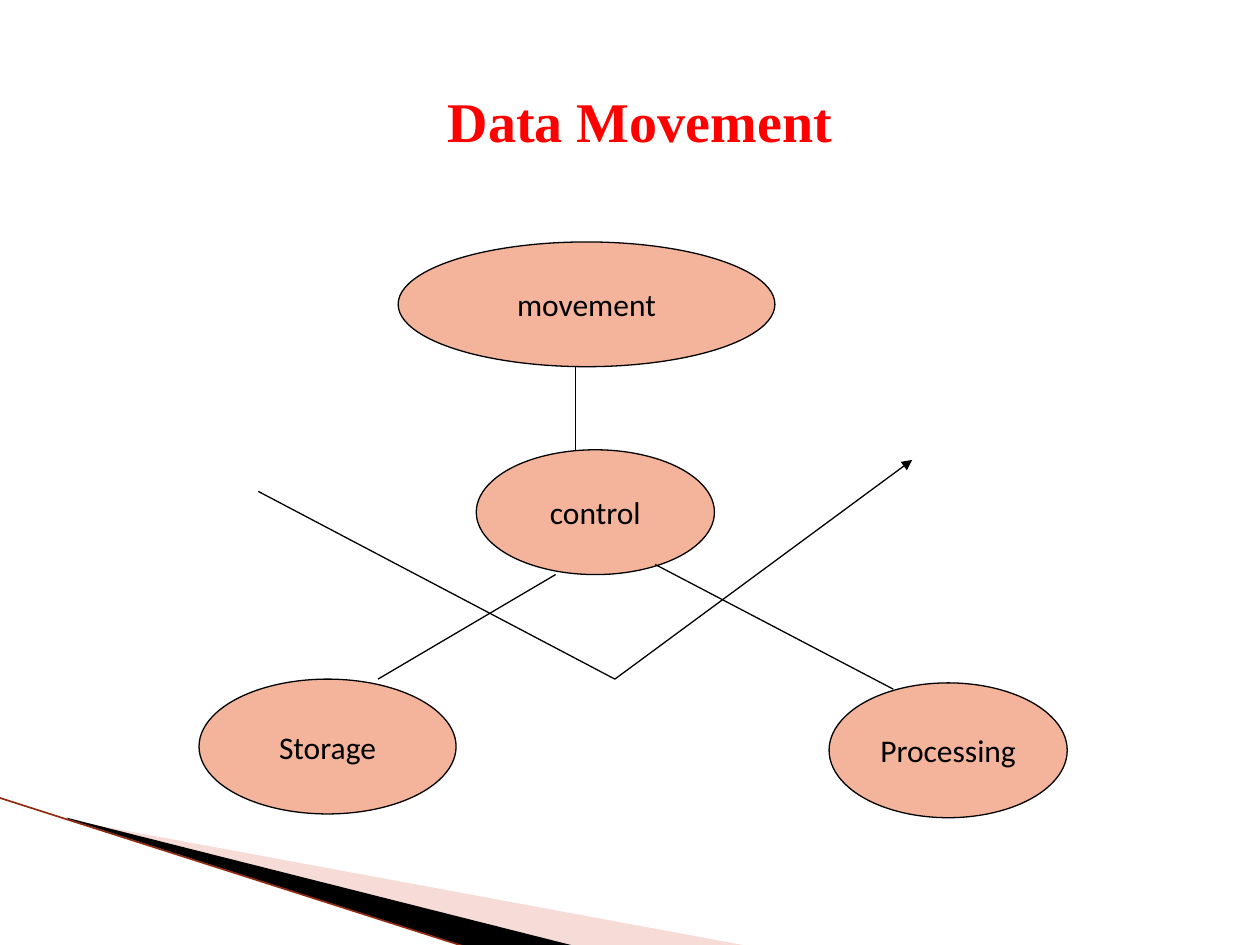
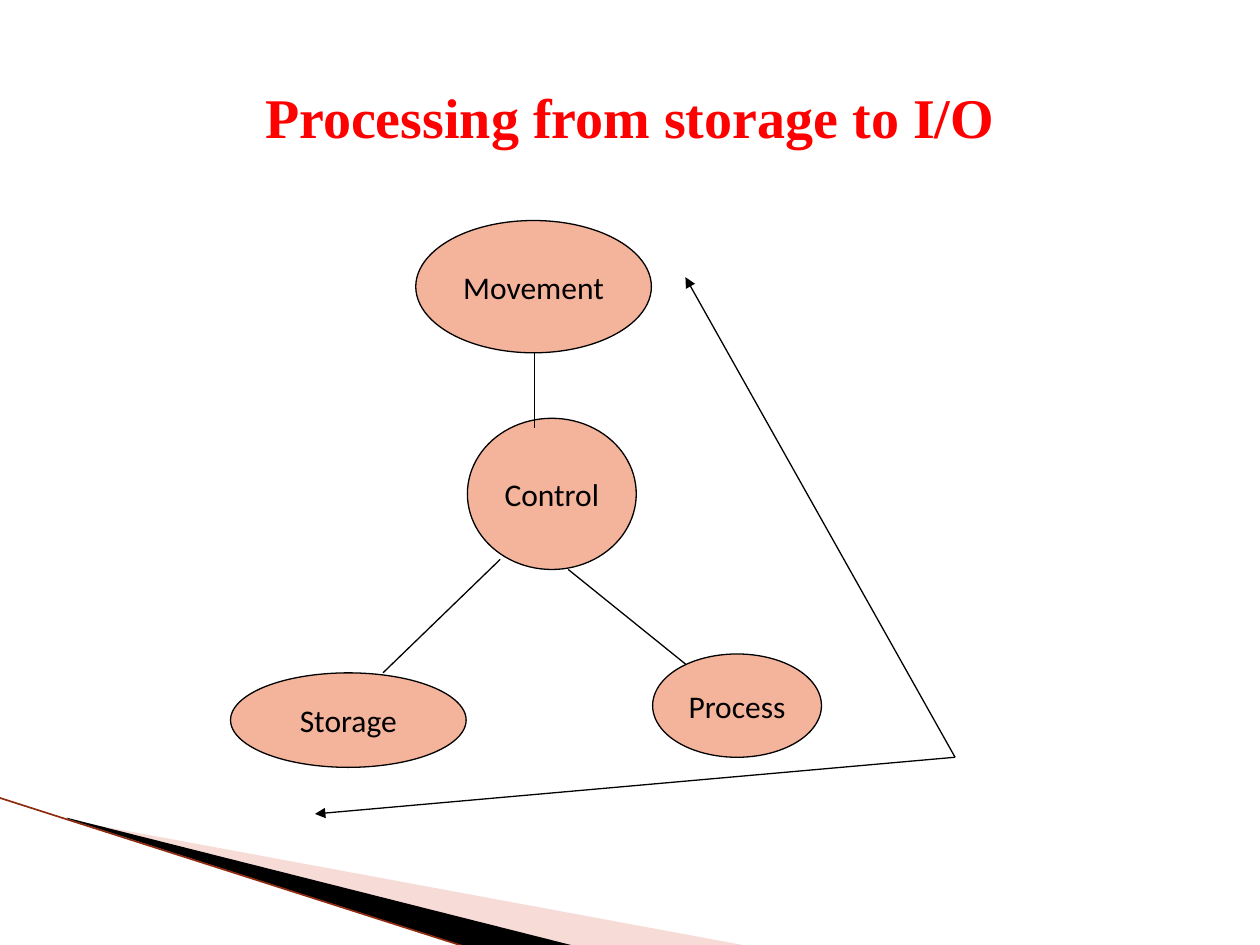
from dataclasses import dataclass

from lxml import etree
from pptx import Presentation
from pptx import slide as sl
from pptx import util as u
from pptx.dml import color as dml
from pptx.enum import shapes as es
from pptx.enum import text as et
from pptx.oxml import ns

# Grid: 100 columns by 75 rows on a 10 by 7.5 inch slide
WIDE, HIGH = u.Inches(10), u.Inches(7.5)
COLS, ROWS = 100, 75

# Shared colours and fonts
BLACK, RED, PEACH = "000000", "FF0000", "F4B39B"
PINK, RUST = "E9A59D", "8F2B10"
SERIF, SANS = "Times New Roman", "Calibri"
THIN = 0.75

Point = tuple[float, float]


@dataclass
class Oval:
    text: str
    x: float
    y: float
    w: float
    h: float


@dataclass
class Line:
    start: Point
    end: Point
    arrow: bool = False
    color: str = BLACK
    weight: float = THIN


@dataclass
class Wedge:
    points: list[Point]
    color: str
    alpha: int = 100


@dataclass
class Page:
    title: str
    left: float
    top: float
    ovals: list[Oval]
    lines: list[Line]


# Corner band on every slide
WEDGES = [
    Wedge([(5.5, 65.1), (59.5, 75.1), (45.6, 75.1), (5.5, 65)], PINK, 40),
    Wedge([(5.3, 64.9), (45.7, 75.1), (37.2, 75.2), (5.4, 65)], BLACK),
]
EDGE = Line((-0.1, 63.3), (37.1, 75.2), color=RUST, weight=0.95)

# Each flow path turns at one corner
TURN, BEND = (48.8, 53.9), (75.8, 60.1)

PAGES = [
    Page(
        "Data Movement", 5.8, 3.3,
        [
            Oval("movement", 31.6, 19.2, 29.9, 9.9),
            Oval("control", 37.8, 35.7, 18.9, 9.9),
            Oval("Storage", 15.8, 53.9, 20.4, 10.7),
            Oval("Processing", 65.8, 54.2, 18.9, 10.7),
        ],
        [
            Line((45.7, 29.1), (45.7, 35.7)),
            Line((44.1, 45.6), (30, 53.9)),
            Line((52, 44.8), (70.9, 54.7)),
            Line((20.5, 39), TURN),
            Line(TURN, (72.4, 36.5), arrow=True),
        ],
    ),
    Page(
        "Processing from storage to I/O", 5, 3,
        [
            Oval("Movement", 33, 17.5, 18.7, 10.5),
            Oval("Control", 37.1, 33.2, 13.4, 12),
            Oval("Storage", 18.3, 53.4, 18.7, 7.5),
            Oval("Process", 51.8, 51.9, 13.4, 8.2),
        ],
        [
            Line((42.4, 28), (42.4, 34)),
            Line((39.7, 44.4), (30.4, 53.4)),
            Line((45.1, 45.2), (54.4, 52.7)),
            Line(BEND, (54.4, 22), arrow=True),
            Line(BEND, (25, 64.6), arrow=True),
        ],
    ),
]


def col(n: float) -> int:
    return round(WIDE * n / COLS)


def row(n: float) -> int:
    return round(HIGH * n / ROWS)


def paint(part, color: str) -> None:
    """Give a fill or a font its colour."""
    if hasattr(part, "solid"):
        part.solid()
        part.fore_color.rgb = dml.RGBColor.from_string(color)
    else:
        part.color.rgb = dml.RGBColor.from_string(color)


def write(shape, words: str, *, size: float, font: str, color: str,
          bold: bool = False, wrap: bool = True) -> None:
    frame = shape.text_frame
    frame.word_wrap = wrap
    frame.vertical_anchor = et.MSO_ANCHOR.MIDDLE
    para = frame.paragraphs[0]
    para.alignment = et.PP_ALIGN.CENTER
    run = para.add_run()
    run.text = words
    run.font.size, run.font.name, run.font.bold = u.Pt(size), font, bold
    paint(run.font, color)


def draw_wedge(slide: sl.Slide, wedge: Wedge) -> None:
    first, *rest = [(col(x), row(y)) for x, y in wedge.points]
    build = slide.shapes.build_freeform(*first)
    build.add_line_segments(rest, close=True)
    shape = build.convert_to_shape()
    shape.shadow.inherit = False
    shape.line.fill.background()
    paint(shape.fill, wedge.color)
    if wedge.alpha < 100:
        tint = shape.fill._xPr.find(".//" + ns.qn("a:srgbClr"))
        etree.SubElement(tint, ns.qn("a:alpha"), val=str(wedge.alpha * 1000))


def draw_line(slide: sl.Slide, line: Line) -> None:
    (x1, y1), (x2, y2) = line.start, line.end
    link = slide.shapes.add_connector(
        es.MSO_CONNECTOR.STRAIGHT, col(x1), row(y1), col(x2), row(y2))
    link.line.width = u.Pt(line.weight)
    paint(link.line.fill, line.color)
    if line.arrow:
        etree.SubElement(link.line._get_or_add_ln(), ns.qn("a:tailEnd"),
                         type="triangle")
    etree.SubElement(link._element.spPr, ns.qn("a:effectLst"))


def draw_oval(slide: sl.Slide, oval: Oval) -> None:
    shape = slide.shapes.add_shape(
        es.MSO_SHAPE.OVAL, col(oval.x), row(oval.y), col(oval.w), row(oval.h))
    shape.shadow.inherit = False
    paint(shape.fill, PEACH)
    paint(shape.line.fill, BLACK)
    shape.line.width = u.Pt(THIN)
    write(shape, oval.text, size=18, font=SANS, color=BLACK, wrap=False)


def draw_page(deck, page: Page) -> None:
    slide = deck.slides.add_slide(deck.slide_layouts[6])
    # Corner band
    for wedge in WEDGES:
        draw_wedge(slide, wedge)
    draw_line(slide, EDGE)
    # Title
    box = slide.shapes.add_textbox(
        col(page.left), row(page.top), col(90), row(12.5))
    write(box, page.title, size=32, font=SERIF, color=RED, bold=True)
    # Diagram
    for oval in page.ovals:
        draw_oval(slide, oval)
    for line in page.lines:
        draw_line(slide, line)


def main() -> None:
    deck = Presentation()
    deck.slide_width, deck.slide_height = WIDE, HIGH
    for page in PAGES:
        draw_page(deck, page)
    deck.save("out.pptx")


if __name__ == "__main__":
    main()
